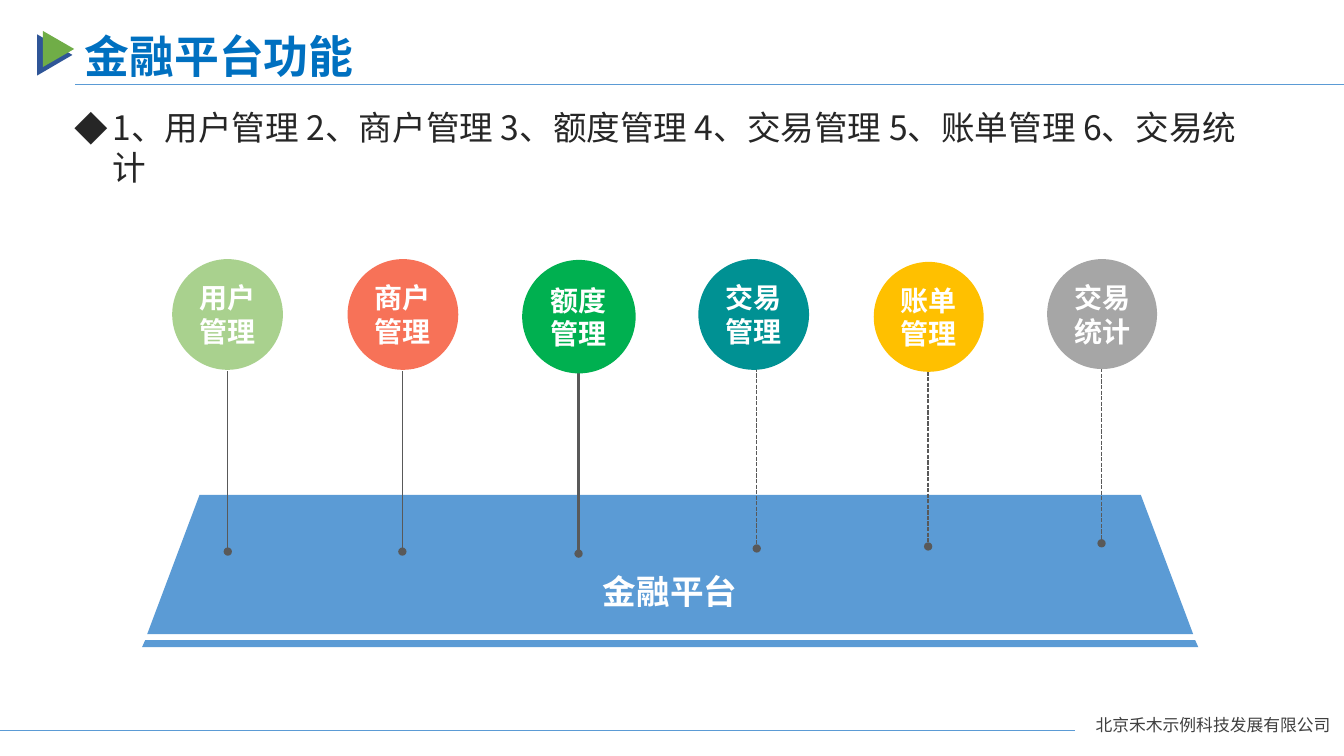
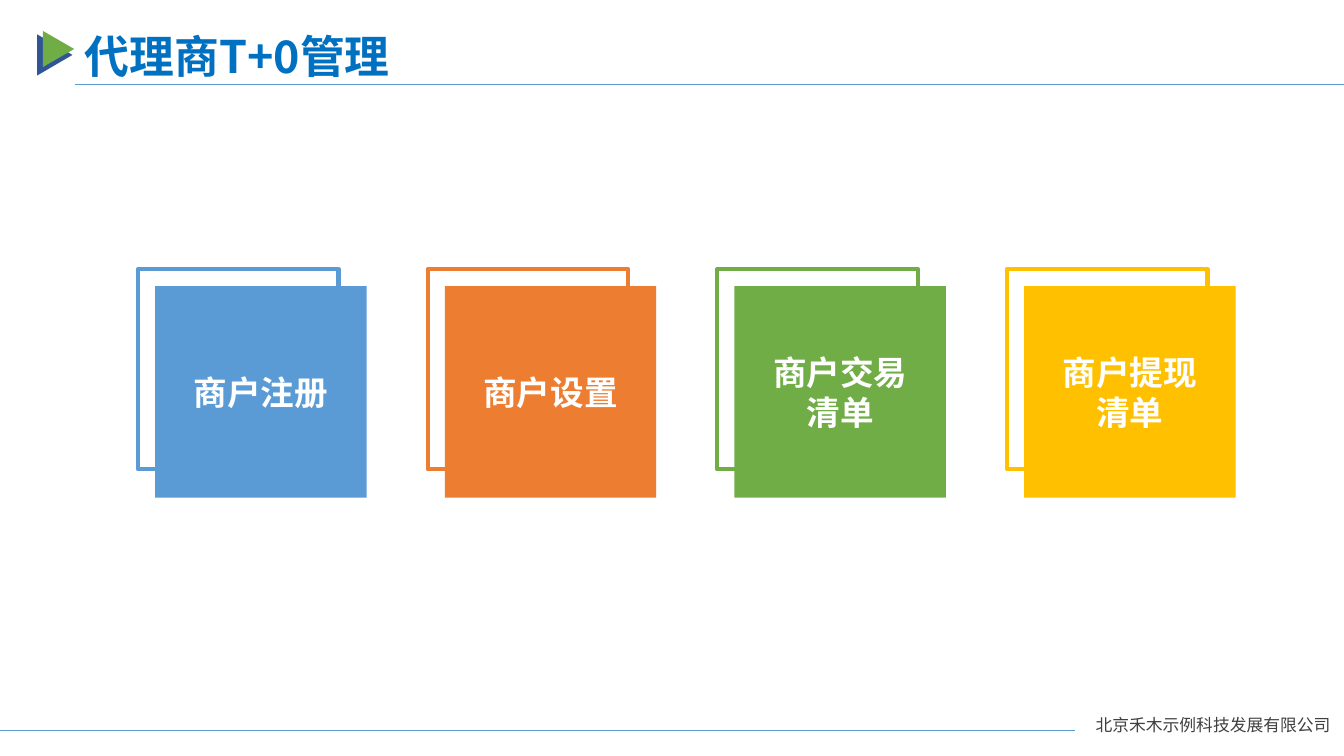
from lxml import etree
from pptx import Presentation
from pptx.dml.color import RGBColor
from pptx.enum.dml import MSO_LINE
from pptx.enum.shapes import MSO_CONNECTOR, MSO_SHAPE, PP_PLACEHOLDER
from pptx.enum.text import MSO_ANCHOR, MSO_AUTO_SIZE, PP_ALIGN
from pptx.oxml.ns import qn
from pptx.util import Cm, Pt

STRAIGHT = MSO_CONNECTOR.STRAIGHT
TRIANGLE, OVAL, RECTANGLE = MSO_SHAPE.ISOSCELES_TRIANGLE, MSO_SHAPE.OVAL, MSO_SHAPE.RECTANGLE
LEFT, CENTER = PP_ALIGN.LEFT, PP_ALIGN.CENTER
TOP, MIDDLE = MSO_ANCHOR.TOP, MSO_ANCHOR.MIDDLE
NO_AUTOFIT = MSO_AUTO_SIZE.NONE
SHORT_DASH = MSO_LINE.SQUARE_DOT

FONT = "Noto Sans CJK SC"
BLUE, ORANGE, GREEN, GOLD = "5B9BD5", "ED7D31", "70AD47", "FFC000"
NAVY, TITLE_BLUE, WHITE = "2F5597", "0070C0", "FFFFFF"
STEM_GREY, FOOTER_GREY, BODY_GREY = "595959", "404040", "262626"


def paint(fill, color):
    fill.solid()
    fill.fore_color.rgb = RGBColor.from_string(color)


def write(shape, text, size=24, color=WHITE, bold=True, align=CENTER,
          anchor=MIDDLE, wrap=True, inset=None):
    frame = shape.text_frame
    frame.text = text
    frame.auto_size = NO_AUTOFIT
    frame.word_wrap = wrap
    frame.vertical_anchor = anchor
    if inset is not None:
        frame.margin_left = frame.margin_right = inset
        frame.margin_top = frame.margin_bottom = inset
    for para in frame.paragraphs:
        para.alignment = align
        para.line_spacing = Pt(size * 1.2)
        para.space_before = Pt(0)
        for span in para.runs:
            span.font.name = FONT
            span.font.size = Pt(size)
            span.font.bold = bold
            paint(span.font.fill, color)
            etree.SubElement(span.font.element if hasattr(span.font, "element")
                             else span._r.get_or_add_rPr(), qn("a:ea"), typeface=FONT)


deck = Presentation()
deck.slide_width, deck.slide_height = Cm(33.87), Cm(19.05)
master = deck.slide_master
functions_page = deck.slides.add_slide(deck.slide_layouts[1])
agent_page = deck.slides.add_slide(deck.slide_layouts[5])
connectors = []

# Title position, shared through the master
master_title = master.placeholders.get(PP_PLACEHOLDER.TITLE)
master_title.left, master_title.top = Cm(1.88), Cm(0.61)
master_title.width, master_title.height = Cm(17.3), Cm(1.6)

# Shared decoration: triangles, rules and company name
decoration = []
for left, top, width, height, color in [(0.86, 0.94, 1.04, 0.89, NAVY),
                                        (1.02, 0.84, 0.91, 0.79, GREEN)]:
    triangle = functions_page.shapes.add_shape(
        TRIANGLE, Cm(left), Cm(top), Cm(width), Cm(height))
    triangle.rotation = 90
    triangle.shadow.inherit = False
    paint(triangle.fill, color)
    triangle.line.fill.background()
    decoration.append(triangle)

for start, end, y in [(1.9, 33.87, 2.13), (0, 27.1, 18.41)]:
    rule = functions_page.shapes.add_connector(STRAIGHT, Cm(start), Cm(y), Cm(end), Cm(y))
    rule.line.width = Pt(0.5)
    paint(rule.line.fill, BLUE)
    connectors.append(rule)
    decoration.append(rule)

company = functions_page.shapes.add_textbox(Cm(27.36), Cm(17.88), Cm(6.5), Cm(0.76))
write(company, "北京禾木示例科技发展有限公司", size=12, color=FOOTER_GREY,
      bold=False, align=LEFT, wrap=False)
decoration.append(company)

# Move the decoration to the master, with identifiers of its own
for number, shape in enumerate(decoration, start=101):
    shape.element.xpath(".//p:cNvPr")[0].set("id", str(number))
    master.shapes.element.append(shape.element)

# Titles
for page, title in [(functions_page, "金融平台功能"), (agent_page, "代理商T+0管理")]:
    write(page.shapes.title, title, size=32, color=TITLE_BLUE, align=LEFT)

# Slide 1: list of functions
body = functions_page.placeholders[1]
body.left, body.top, body.width, body.height = Cm(1.63), Cm(2.57), Cm(30.28), Cm(2.31)
write(body, "1、用户管理 2、商户管理 3、额度管理 4、交易管理 5、账单管理 6、交易统计",
      color=BODY_GREY, bold=False, align=LEFT, anchor=TOP)
properties = body.text_frame.paragraphs[0]._p.get_or_add_pPr()
properties.set("marL", str(Cm(0.95)))
properties.set("indent", str(-Cm(0.95)))
etree.SubElement(properties, qn("a:buFont"), typeface=FONT)
etree.SubElement(properties, qn("a:buChar"), char="◆")

# Slide 1: platform with a separate front edge
edge = [(3.58, 16.31), (3.66, 16.13), (30.12, 16.13), (30.2, 16.31)]
surface = [(3.71, 15.98), (5.03, 12.47), (28.75, 12.47), (30.07, 15.98)]
builder = None
for outline in (edge, surface):
    points = [(Cm(x), Cm(y)) for x, y in outline]
    if builder is None:
        builder = functions_page.shapes.build_freeform(*points[0])
    else:
        builder.move_to(*points[0])
    builder.add_line_segments(points[1:], close=True)
platform = builder.convert_to_shape()
platform.shadow.inherit = False
paint(platform.fill, BLUE)
platform.line.fill.background()
write(platform, "金融平台")
platform.text_frame.margin_top = Cm(1.13)

# Slide 1: function circles on stems
# label, colour, left, top, diameter, stem x, stem top, stem width, dash
functions = [
    ("用户管理", "A9D18E", 4.34, 6.53, 2.79, 5.74, 9.35, 1, None),
    ("商户管理", "F77258", 8.76, 6.53, 2.79, 10.14, 9.35, 1, None),
    ("额度管理", "00B050", 13.16, 6.55, 2.86, 14.58, 9.4, 1.5, None),
    ("交易管理", "009193", 17.6, 6.53, 2.79, 19.07, 9.27, 1, SHORT_DASH),
    ("账单管理", GOLD, 22.02, 6.6, 2.77, 23.39, 9.22, 1, SHORT_DASH),
    ("交易统计", "A6A6A6", 26.39, 6.53, 2.77, 27.76, 9.14, 1, SHORT_DASH),
]
STEM_LENGTH = 4.55
for label, color, left, top, diameter, stem_x, stem_top, weight, dash in functions:
    stem = functions_page.shapes.add_connector(
        STRAIGHT, Cm(stem_x), Cm(stem_top), Cm(stem_x), Cm(stem_top + STEM_LENGTH))
    stem.line.width = Pt(weight)
    paint(stem.line.fill, STEM_GREY)
    if dash is not None:
        stem.line.dash_style = dash
    etree.SubElement(stem.element.spPr.find(qn("a:ln")), qn("a:tailEnd"), type="oval")
    connectors.append(stem)

    circle = functions_page.shapes.add_shape(
        OVAL, Cm(left), Cm(top), Cm(diameter), Cm(diameter))
    circle.shadow.inherit = False
    paint(circle.fill, color)
    circle.line.fill.background()
    write(circle, label, size=20, inset=0)

# Slide 2: four blocks, each over an offset frame
blocks = [("商户注册", BLUE), ("商户设置", ORANGE),
          ("商户交易\n清单", GREEN), ("商户提现\n清单", GOLD)]
FIRST_LEFT, FRAME_TOP, PITCH, OFFSET = 3.48, 6.78, 7.3, 0.43
for index, (label, color) in enumerate(blocks):
    left = FIRST_LEFT + index * PITCH
    outline = agent_page.shapes.add_shape(
        RECTANGLE, Cm(left), Cm(FRAME_TOP), Cm(5.05), Cm(5.05))
    outline.shadow.inherit = False
    outline.fill.background()
    outline.line.width = Pt(3)
    paint(outline.line.fill, color)

    block = agent_page.shapes.add_shape(
        RECTANGLE, Cm(left + OFFSET), Cm(FRAME_TOP + OFFSET), Cm(5.33), Cm(5.33))
    block.shadow.inherit = False
    paint(block.fill, color)
    block.line.fill.background()
    write(block, label)

# Lines without shadow
for connector in connectors:
    etree.SubElement(connector.element.spPr, qn("a:effectLst"))

deck.save("out.pptx")
